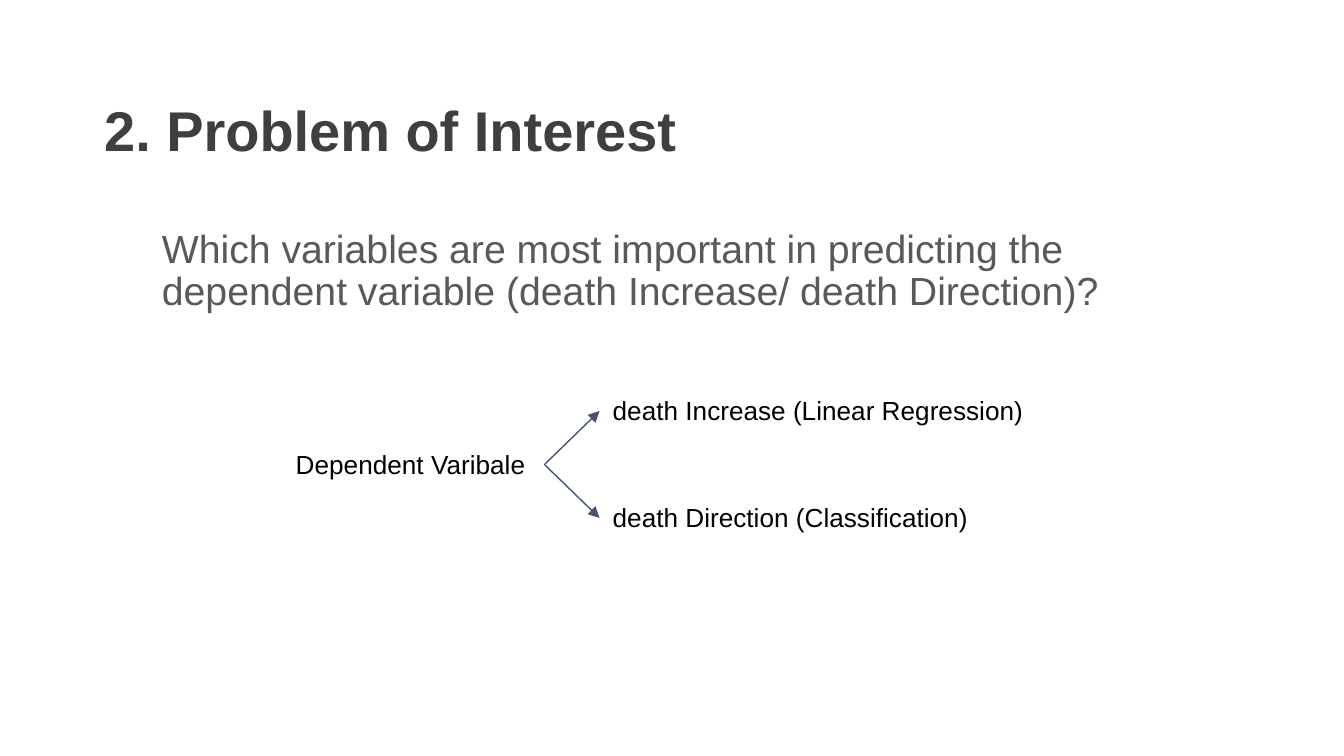
from lxml.etree import SubElement
from pptx import Presentation
from pptx.dml.color import RGBColor
from pptx.enum.shapes import MSO_CONNECTOR
from pptx.enum.text import MSO_ANCHOR
from pptx.oxml.ns import qn
from pptx.util import Cm, Pt

LABEL_HEIGHT = 1.12
BRANCH_OFFSET = 1.01


def color(value):
    return RGBColor.from_string(value)


def add_text(page, text, left, top, width, height, size=14, fill="000000",
             bold=False, anchor=MSO_ANCHOR.TOP, inset=(0.25, 0.25),
             indent=0, line_spacing=1.0, before=0):
    box = page.shapes.add_textbox(Cm(left), Cm(top), Cm(width), Cm(height))
    frame = box.text_frame
    frame.word_wrap = True
    frame.vertical_anchor = anchor
    frame.margin_left = frame.margin_right = Cm(inset[0])
    frame.margin_top = frame.margin_bottom = Cm(inset[1])
    para = frame.paragraphs[0]
    para.line_spacing = line_spacing
    para.space_before = Pt(before)
    if indent:
        properties = para._p.get_or_add_pPr()
        properties.set("marL", str(Cm(indent)))
        properties.set("indent", "0")
    span = para.add_run()
    span.text = text
    span.font.name = "Arial"
    span.font.size = Pt(size)
    span.font.bold = bold
    span.font.color.rgb = color(fill)
    return box


def add_arrow(page, source, target):
    arrow = page.shapes.add_connector(MSO_CONNECTOR.STRAIGHT, 0, 0, 0, 0)
    arrow.begin_connect(source, 3)
    arrow.end_connect(target, 1)
    arrow.line.color.rgb = color("44546A")
    arrow.line.width = Pt(0.75)
    SubElement(arrow.line._get_or_add_ln(), qn("a:tailEnd"), type="triangle")
    SubElement(arrow._element.spPr, qn("a:effectLst"))


def main():
    deck = Presentation()
    deck.slide_width, deck.slide_height = Cm(25.4), Cm(14.29)
    page = deck.slides.add_slide(deck.slide_layouts[6])

    add_text(page, "2. Problem of Interest", 1.78, 1.5, 21.84, 2.03,
             size=30, fill="3F3F3F", bold=True, anchor=MSO_ANCHOR.MIDDLE,
             inset=(0.19, 0.1), line_spacing=0.9)
    add_text(page, "Which variables are most important in predicting the "
             "dependent variable (death Increase/ death Direction)?",
             1.6, 4.24, 21.9, 2.29, size=21, fill="595959",
             inset=(0.19, 0.1), indent=1.27, line_spacing=0.9, before=8)

    root_top = 8.22
    root = add_text(page, "Dependent Varibale", 5.34, root_top, 4.95, LABEL_HEIGHT)
    branches = [
        ("death Increase (Linear Regression)", 8.43, -BRANCH_OFFSET),
        ("death Direction (Classification)", 7.49, BRANCH_OFFSET),
    ]
    for text, width, offset in branches:
        branch = add_text(page, text, 11.33, root_top + offset, width, LABEL_HEIGHT)
        add_arrow(page, root, branch)

    deck.save("out.pptx")


if __name__ == "__main__":
    main()
